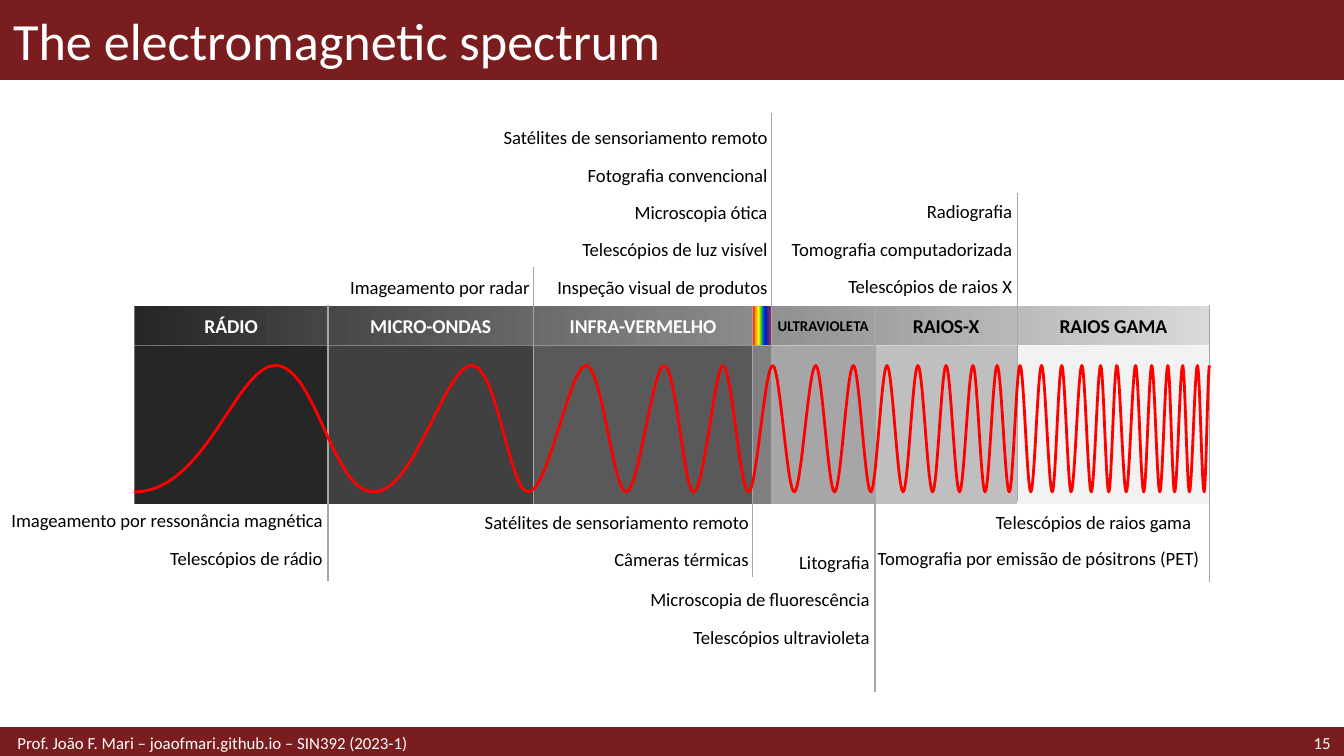
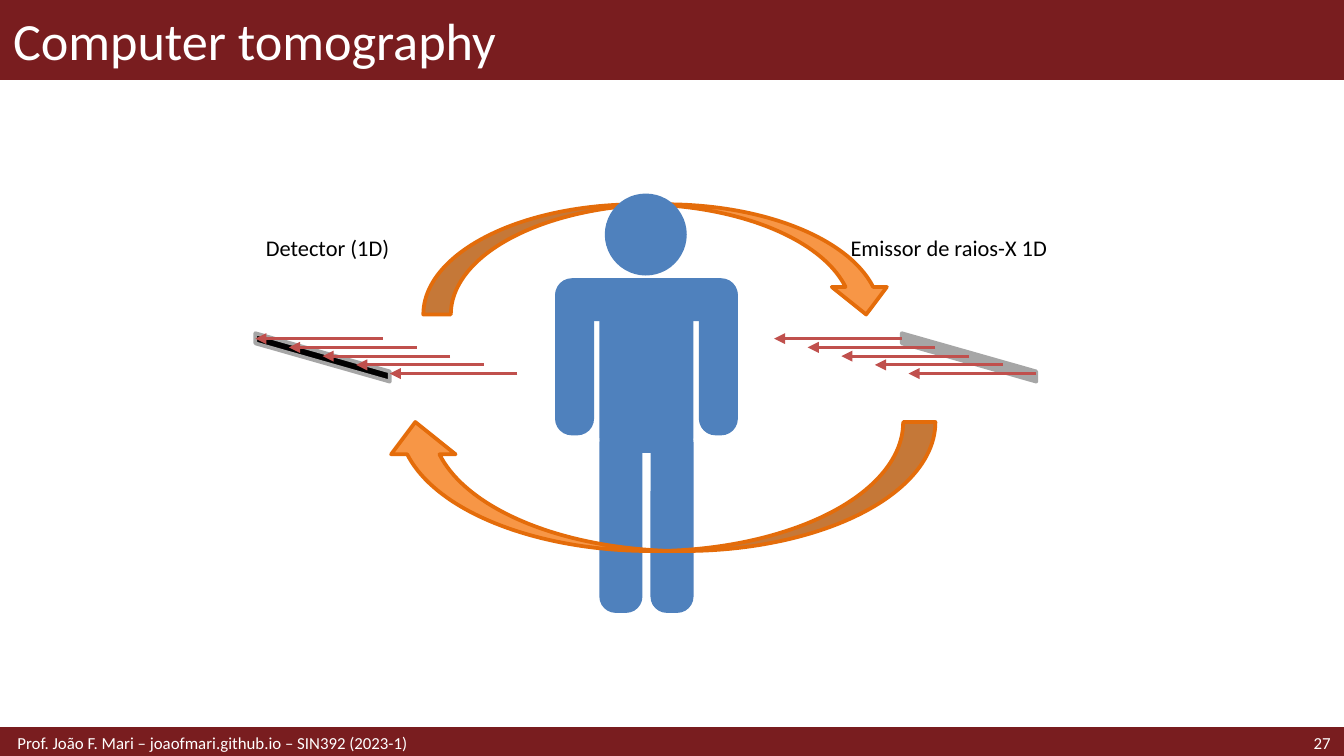
from pptx import Presentation
from pptx.dml.color import RGBColor
from pptx.enum.shapes import MSO_CONNECTOR as Link, MSO_SHAPE as Shape
from pptx.enum.text import MSO_ANCHOR as Anchor, MSO_AUTO_SIZE as AutoSize, PP_ALIGN as Align
from pptx.oxml.ns import qn
from pptx.util import Inches, Pt
from lxml.etree import SubElement

FONT = "Calibri"
WIDTH = 10
HEIGHT = WIDTH * 9 / 16
COLORS = {
    "maroon": "791D1F", "white": "FFFFFF", "black": "000000", "gray": "A6A6A6",
    "wave": "FF0000", "infrared": "595959", "body": "4F81BD", "ray": "C0504D",
    "orange": "F79646", "dark orange": "E46C0A",
}
HEADER_STOPS = [(0, "262626"), (50, "808080"), (100, "D9D9D9")]
RAINBOW_STOPS = [(0, "FF0000"), (16, "F9910C"), (32, "FFFF00"), (50, "00B050"),
                 (66, "0000FF"), (82, "233F61"), (100, "CC0099")]
BAND_EDGES = [1, 2.44, 3.97, 5.6, 5.74, 6.51, 7.57, 9]
BANDS = [
    ("RÁDIO", "262626", "white", 10.5),
    ("MICRO-ONDAS", "404040", "white", 10.5),
    ("INFRA-VERMELHO", COLORS["infrared"], "white", 10.5),
    ("", "808080", "white", 10.5),
    ("ULTRAVIOLETA", COLORS["gray"], "black", 8),
    ("RAIOS-X", "BFBFBF", "black", 10.5),
    ("RAIOS GAMA", "F2F2F2", "black", 10.5),
]
DIVIDERS = [(2.44, 2.27, 4.32), (3.97, 1.99, 3.74), (5.6, 2.28, 4.29), (5.74, 0.84, 3.74),
            (6.51, 2.28, 5.15), (7.57, 1.44, 3.73), (9, 2.27, 4.33)]
USE_PITCH = (2 - 0.89) / 4
USES = [
    (2.44, 3.74, [("Imageamento por ressonância magnética", 2.44),
                  ("Telescópios de rádio", 2.08)]),
    (3.98, 2, [("Imageamento por radar", 1.44)]),
    (5.61, 3.75, [("Satélites de sensoriamento remoto", 2.08), ("Câmeras térmicas", 1.1)]),
    (5.75, 0.89, [("Satélites de sensoriamento remoto", 2.08),
                  ("Fotografia convencional", 1.44), ("Microscopia ótica", 1.08),
                  ("Telescópios de luz visível", 1.53),
                  ("Inspeção visual de produtos", 1.66)]),
    (6.51, 4.05, [("Litografia", 0.61), ("Microscopia de fluorescência", 1.77),
                  ("Telescópios ultravioleta", 1.46)]),
    (7.57, 1.44, [("Radiografia", 0.72), ("Tomografia computadorizada", 1.8),
                  ("Telescópios de raios X", 1.33)]),
]
GAMMA_USES = [("Telescópios de raios gama", 7.37, 3.75, 1.64),
              ("Tomografia por emissão de pósitrons (PET)", 6.49, 4.02, 2.51)]
CREST, TROUGH = 2.72, 3.66
UNITS_PER_INCH = 1000
LONG_WAVE = [(1.53, 1.76, 2.05), (2.35, 2.47, 2.78), (3.09, 3.31, 3.51),
             (3.7, 3.79, 3.93), (4.08, 4.24, 4.36), (4.48, 4.56, 4.66),
             (4.75, 4.86, 4.94), (5.03, 5.09, 5.16), (5.24, 5.32, 5.38)]
SHORT_WAVE_TURNS = [
    5.17, 5.38, 5.57, 5.75, 5.91, 6.07, 6.21, 6.35, 6.48, 6.6, 6.72, 6.83, 6.94, 7.04,
    7.14, 7.24, 7.33, 7.42, 7.51, 7.59, 7.67, 7.75, 7.83, 7.9, 7.97, 8.05, 8.12, 8.19,
    8.25, 8.31, 8.38, 8.45, 8.51, 8.57, 8.63, 8.69, 8.74, 8.8, 8.85, 8.91, 8.96, 9,
]
LIMBS = [(4.13, 2.08, 0.29, 1.16, 0.43), (5.2, 2.08, 0.29, 1.16, 0.43),
         (4.46, 2.08, 0.7, 1.29, 0.17),
         (4.46, 3.17, 0.32, 1.39, 0.38), (4.84, 3.17, 0.32, 1.39, 0.38)]


def rgb(color):
    """Return the colour for a name in COLORS or for a hex string."""
    return RGBColor.from_string(COLORS.get(color, color))


def add_block(shapes, kind, box, fill, line=None, weight=2, rotation=0, adjust=None):
    """Add a preset shape with a plain fill and an optional outline."""
    block = shapes.add_shape(kind, *map(Inches, box))
    block.shadow.inherit = False
    block.fill.solid()
    block.fill.fore_color.rgb = rgb(fill)
    if line:
        block.line.color.rgb = rgb(line)
        block.line.width = Pt(weight)
    else:
        block.line.fill.background()
    block.rotation = rotation
    if adjust is not None:
        block.adjustments[0] = adjust
    return block


def add_gradient(shapes, box, stops):
    """Add a rectangle with a left-to-right gradient."""
    strip = add_block(shapes, Shape.RECTANGLE, box, "white")
    strip.fill.gradient()
    strip.fill.gradient_angle = 0
    stop_list = strip._element.spPr.find(".//" + qn("a:gsLst"))
    stop_list.clear()
    for position, color in stops:
        stop = SubElement(stop_list, qn("a:gs"), pos=str(position * 1000))
        SubElement(stop, qn("a:srgbClr"), val=color)


def add_text(shapes, text, box, size, color="black", align=Align.LEFT, bold=False,
             anchor=Anchor.MIDDLE, insets=(0.1, 0.05, 0.1, 0.05), wrap=True, grow=False):
    """Add a one-paragraph text box."""
    frame = shapes.add_textbox(*map(Inches, box)).text_frame
    frame.margin_left, frame.margin_top, frame.margin_right, frame.margin_bottom = map(
        Inches, insets)
    frame.word_wrap = wrap
    frame.auto_size = AutoSize.SHAPE_TO_FIT_TEXT if grow else AutoSize.NONE
    frame.vertical_anchor = anchor
    paragraph = frame.paragraphs[0]
    paragraph.text = text
    paragraph.alignment = align
    paragraph.font.name = FONT
    paragraph.font.size = Pt(size)
    paragraph.font.bold = bold
    paragraph.font.color.rgb = rgb(color)


def add_line(shapes, start, end, color, weight, arrow=False):
    """Add a straight line, with an arrowhead at its end if asked."""
    line = shapes.add_connector(Link.STRAIGHT, *map(Inches, (*start, *end)))
    line.line.color.rgb = rgb(color)
    line.line.width = Pt(weight)
    if arrow:
        SubElement(line.line._get_or_add_ln(), qn("a:tailEnd"), type="triangle")
    SubElement(line._element.spPr, qn("a:effectLst"))


def add_wave(shapes, start, turns):
    """Add a smooth wave that rises from a trough and alternates at each turn."""
    points, level = [(start, TROUGH)], TROUGH
    for index, (first, second, turn) in enumerate(turns):
        target = TROUGH if index % 2 else CREST
        points += [(first, level), (second, target), (turn, target)]
        level = target
    origin, *controls = [(x * UNITS_PER_INCH, y * UNITS_PER_INCH) for x, y in points]
    builder = shapes.build_freeform(*origin, scale=Inches(1) / UNITS_PER_INCH)
    builder.add_line_segments(controls, close=False)
    wave = builder.convert_to_shape()
    outline = wave._element.spPr.find(".//" + qn("a:path"))
    steps = outline.findall(qn("a:lnTo"))
    for index in range(0, len(steps), 3):
        curve = SubElement(outline, qn("a:cubicBezTo"))
        for step in steps[index:index + 3]:
            curve.append(step[0])
            outline.remove(step)
    wave.shadow.inherit = False
    wave.fill.background()
    wave.line.color.rgb = rgb("wave")
    wave.line.width = Pt(1.5)


def add_use(shapes, text, box, align):
    """Add a label that names one use of a band."""
    add_text(shapes, text, box, 10, align=align, anchor=Anchor.TOP,
             insets=(0.04, 0.05, 0.04, 0.05), wrap=False, grow=True)


def add_rays(shapes, left):
    """Add five parallel rays that point left, each a step lower and further right."""
    rays = shapes.add_group_shape().shapes
    for index in range(5):
        x, y = left + index / 4, 2.52 + 0.26 * index / 4
        add_line(rays, (x + 0.95, y), (x, y), "ray", 1.5, arrow=True)


def add_page(deck, title, number):
    """Add a slide with its title band and footer and return its shapes."""
    shapes = deck.slides.add_slide(deck.slide_layouts[6]).shapes
    add_block(shapes, Shape.RECTANGLE, (0, 0, WIDTH, 0.59), "maroon", "maroon", 1)
    add_block(shapes, Shape.RECTANGLE, (0, 5.42, WIDTH, 0.21), "maroon", "maroon", 2)
    add_text(shapes, title, (0, 0, WIDTH, 0.59), 28, "white")
    add_text(shapes, str(number), (8.86, 5.42, 1.14, 0.21), 9, "white", Align.RIGHT)
    add_text(shapes, "Prof. João F. Mari – joaofmari.github.io – SIN392 (2023-1)",
             (0, 5.42, 6.89, 0.21), 9, "white", insets=(0.13, 0.05, 0.1, 0.05))
    return shapes


def build_spectrum(deck):
    """Build the slide with the bands, waves and uses of the spectrum."""
    shapes = add_page(deck, "The electromagnetic spectrum", 15)
    add_gradient(shapes, (1, 2.28, 8, 0.29), HEADER_STOPS)
    for (name, fill, color, size), left, right in zip(BANDS, BAND_EDGES, BAND_EDGES[1:]):
        header = (left, 2.28, right - left, 0.29)
        add_block(shapes, Shape.RECTANGLE, (left, 2.57, right - left, 1.18), fill)
        if name:
            add_text(shapes, name, header, size, color, Align.CENTER, bold=True,
                     insets=(0, 0.05, 0, 0.05))
        else:
            add_gradient(shapes, header, RAINBOW_STOPS)
    for x, top, bottom in DIVIDERS:
        add_line(shapes, (x, top), (x, bottom), "gray", 0.75)

    waves = shapes.add_group_shape().shapes
    short_wave = [(left + (right - left) / 3, right - (right - left) / 3, right)
                  for left, right in zip(SHORT_WAVE_TURNS, SHORT_WAVE_TURNS[1:])]
    add_wave(waves, SHORT_WAVE_TURNS[0], short_wave)
    add_block(waves, Shape.RECTANGLE, (4.27, 2.72, 1.12, 0.95), "infrared")
    add_wave(waves, 1, LONG_WAVE)

    for right, top, labels in USES:
        for row, (text, width) in enumerate(labels):
            box = (right - width, top + USE_PITCH * row, width, 0.27)
            add_use(shapes, text, box, Align.RIGHT)
    for text, left, top, width in GAMMA_USES:
        add_use(shapes, text, (left, top, width, 0.27), Align.LEFT)


def build_tomography(deck):
    """Build the slide with the patient, the detector and the emitter."""
    shapes = add_page(deck, "Computer tomography", 27)
    add_block(shapes, Shape.CURVED_DOWN_ARROW, (3.15, 1.52, 3.5, 0.82), "orange", "dark orange")
    patient = shapes.add_group_shape().shapes
    for *box, rounding in LIMBS:
        add_block(patient, Shape.ROUNDED_RECTANGLE, box, "body", adjust=rounding)
    add_block(patient, Shape.ROUNDED_RECTANGLE, (4.65, 1.55, 0.32, 1.36), "body",
              rotation=90, adjust=0.39)
    add_block(patient, Shape.OVAL, (4.5, 1.44, 0.61, 0.61), "body")

    devices = [("Emissor de raios-X 1D", (6.23, 1.74, 1.89, 0.21), 7.03, "gray", 5.76),
               ("Detector (1D)", (1.88, 1.74, 2.05, 0.21), 2.22, "black", 1.9)]
    for label, label_box, plate_left, fill, rays_left in devices:
        add_block(shapes, Shape.PARALLELOGRAM, (plate_left, 2.16, 0.36, 1), fill, "gray",
                  rotation=90, adjust=0.79)
        add_rays(shapes, rays_left)
        add_text(shapes, label, label_box, 12, anchor=Anchor.TOP,
                 insets=(0.1, 0, 0, 0), grow=True)
    add_block(shapes, Shape.CURVED_DOWN_ARROW, (2.85, 3.14, 4.11, 0.96), "orange",
              "dark orange", rotation=180)


def main():
    """Build the deck and save it."""
    deck = Presentation()
    deck.slide_width, deck.slide_height = Inches(WIDTH), Inches(HEIGHT)
    build_spectrum(deck)
    build_tomography(deck)
    deck.save("out.pptx")


if __name__ == "__main__":
    main()
